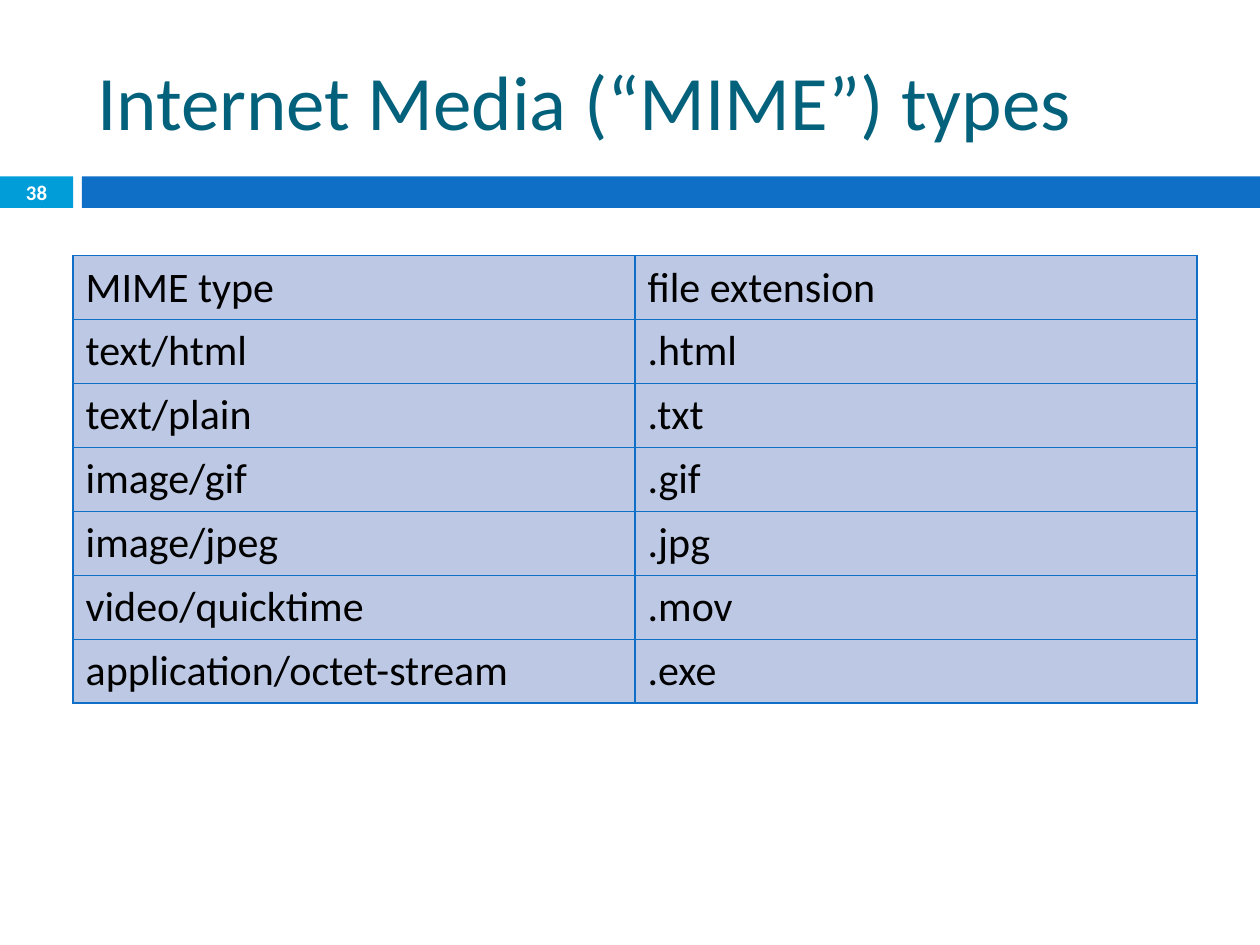
from pptx import Presentation
from pptx.dml.color import RGBColor
from pptx.enum.shapes import MSO_SHAPE as Shape
from pptx.enum.text import MSO_ANCHOR as Anchor, PP_ALIGN as Align
from pptx.oxml.ns import qn
from pptx.util import Inches, Pt
from lxml.etree import SubElement

BLUE, CYAN, TEAL = "0F6FC6", "009DD9", "04617B"
CELL_FILL, BLACK, WHITE = "BDC8E4", "000000", "FFFFFF"

MIME_TYPES = [
    ("MIME type", "file extension"),
    ("text/html", ".html"),
    ("text/plain", ".txt"),
    ("image/gif", ".gif"),
    ("image/jpeg", ".jpg"),
    ("video/quicktime", ".mov"),
    ("application/octet-stream", ".exe"),
]


def color(value):
    return RGBColor.from_string(value)


class SlideBuilder:
    """Draw styled elements on the current slide."""

    font_name = "Calibri"

    def __init__(self, page):
        self.page = page

    def set_text(self, frame, text, size, ink, align=Align.LEFT, bold=False):
        frame.word_wrap = True
        para = frame.paragraphs[0]
        para.text = text
        para.alignment = align
        font = para.font
        font.name, font.size, font.bold = self.font_name, Pt(size), bold
        font.color.rgb = color(ink)

    def title(self, text, left, top, width, height):
        box = self.page.shapes.title
        box.left, box.top = Inches(left), Inches(top)
        box.width, box.height = Inches(width), Inches(height)
        box.text_frame.vertical_anchor = Anchor.MIDDLE
        self.set_text(box.text_frame, text, 44, TEAL)

    def bar(self, left, top, width, height, fill):
        bar = self.page.shapes.add_shape(
            Shape.RECTANGLE, Inches(left), Inches(top), Inches(width), Inches(height))
        bar.shadow.inherit = False
        bar.fill.solid()
        bar.fill.fore_color.rgb = color(fill)
        bar.line.fill.background()

    def page_number(self, text, left, top, width, height):
        box = self.page.shapes.add_textbox(
            Inches(left), Inches(top), Inches(width), Inches(height))
        frame = box.text_frame
        frame.margin_top = frame.margin_bottom = 0
        frame.vertical_anchor = Anchor.MIDDLE
        self.set_text(frame, text, 11.9, WHITE, Align.CENTER, True)

    def border(self, cell):
        properties = cell._tc.get_or_add_tcPr()
        for side in ("lnL", "lnR", "lnT", "lnB"):
            line = SubElement(properties, qn(f"a:{side}"), w=str(Pt(0.79)))
            fill = SubElement(line, qn("a:solidFill"))
            SubElement(fill, qn("a:srgbClr"), val=BLUE)

    def table(self, rows, left, top, width, height):
        table = self.page.shapes.add_table(
            len(rows), len(rows[0]),
            Inches(left), Inches(top), Inches(width), Inches(height)).table
        table.first_row = table.horz_banding = False
        for cell, text in zip(table.iter_cells(), (text for row in rows for text in row)):
            self.border(cell)
            cell.fill.solid()
            cell.fill.fore_color.rgb = color(CELL_FILL)
            cell.vertical_anchor = Anchor.MIDDLE
            self.set_text(cell.text_frame, text, 24, BLACK)


def main():
    deck = Presentation()
    deck.slide_width, deck.slide_height = Inches(10), Inches(7.5)
    slide = SlideBuilder(deck.slides.add_slide(deck.slide_layouts[5]))
    slide.bar(0, 1.4, 0.58, 0.25, CYAN)
    slide.bar(0.65, 1.4, 9.35, 0.25, BLUE)
    slide.title("Internet Media (“MIME”) types", 0.67, 0.25, 8.92, 1.08)
    slide.table(MIME_TYPES, 0.58, 2.03, 8.92, 3.5)
    slide.page_number("38", 0, 1.39, 0.58, 0.27)
    deck.save("out.pptx")


if __name__ == "__main__":
    main()
